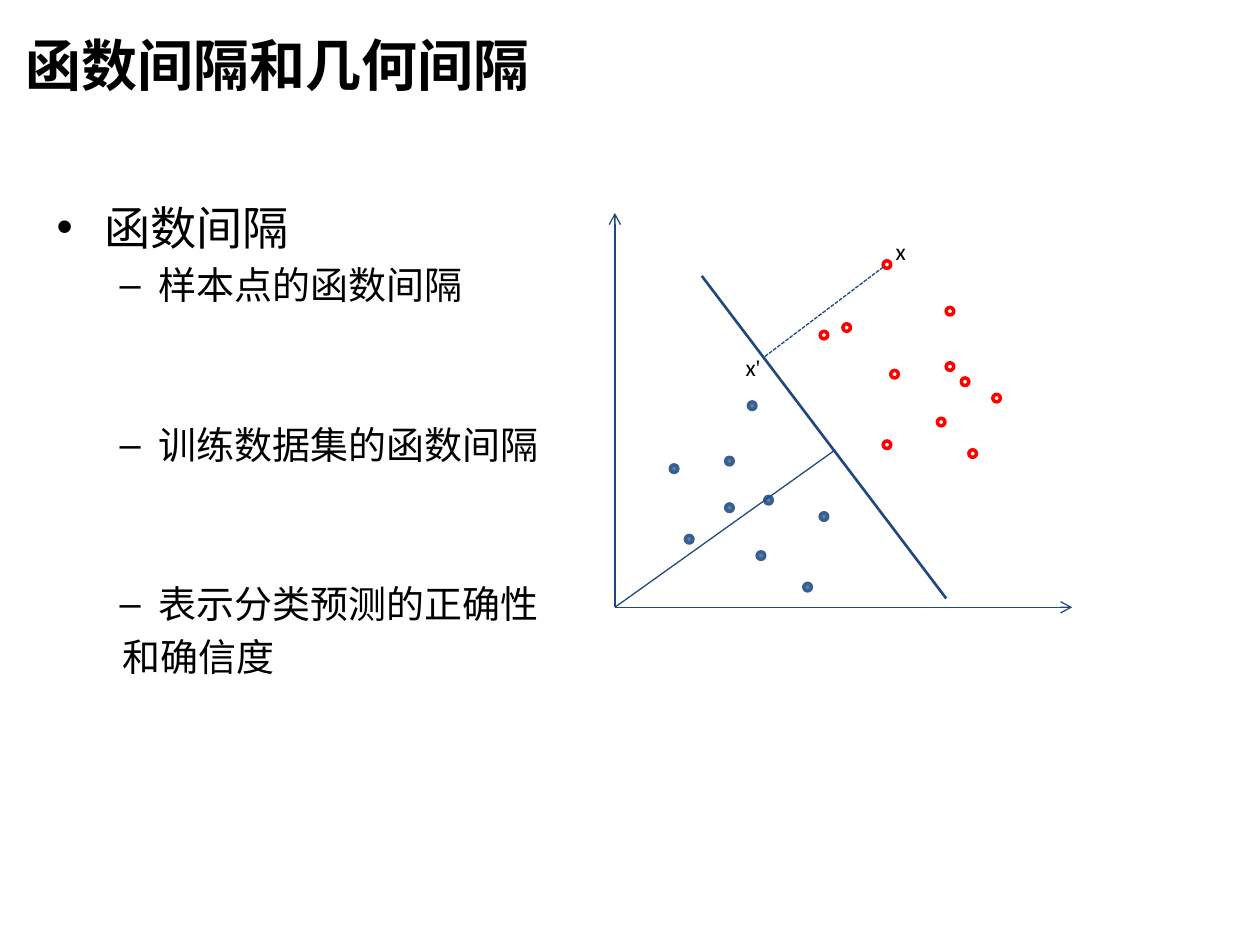
from dataclasses import dataclass

from pptx import Presentation
from pptx.dml.color import RGBColor
from pptx.enum.dml import MSO_LINE
from pptx.enum.shapes import MSO_CONNECTOR, MSO_SHAPE
from pptx.enum.text import MSO_ANCHOR, MSO_AUTO_SIZE
from pptx.oxml.ns import qn
from pptx.util import Inches, Pt
from lxml.etree import SubElement


@dataclass(frozen=True)
class Theme:
    ink: RGBColor = RGBColor(0, 0, 0)
    navy: RGBColor = RGBColor.from_string("1F497D")
    blue: RGBColor = RGBColor.from_string("4F81BD")
    edge: RGBColor = RGBColor.from_string("3A5F8C")
    red: RGBColor = RGBColor.from_string("FF0000")
    font: str = "Calibri"
    serif: str = "Times New Roman"
    title: float = 32
    head: float = 26.4
    item: float = 21.7
    label: float = 13.5
    dot: float = 0.06


class Deck:
    def __init__(self, theme):
        self.theme = theme
        self.file = Presentation()
        self.file.slide_width = Inches(10)
        self.file.slide_height = Inches(7.5)
        self.slide = self.file.slides.add_slide(self.file.slide_layouts[6])

    def box(self, left, top, width, height, wrap=True):
        shape = self.slide.shapes.add_textbox(
            Inches(left), Inches(top), Inches(width), Inches(height))
        shape.text_frame.word_wrap = wrap
        return shape.text_frame

    def style(self, para, size, bold=False):
        font = para.font
        font.size, font.bold = Pt(size), bold
        font.name = self.theme.font
        font.color.rgb = self.theme.ink

    def title(self, text):
        frame = self.box(0.03, 0, 8.62, 1.09)
        frame.vertical_anchor = MSO_ANCHOR.MIDDLE
        frame.margin_left = Inches(0.17)
        para = frame.paragraphs[0]
        para.text, para.line_spacing = text, 0.9
        self.style(para, self.theme.title, bold=True)

    def bullets(self, items):
        frame = self.box(0.35, 1.53, 8.62, 3.57)
        for i, (text, size, mark, left, hang, gap) in enumerate(items):
            para = frame.add_paragraph() if i else frame.paragraphs[0]
            para.text = text
            if i:
                para.space_before = Pt(gap)
            props = para._p.get_or_add_pPr()
            props.set("marL", str(Inches(left)))
            props.set("indent", str(-Inches(hang)))
            if mark:
                SubElement(props, qn("a:buFont")).set("typeface", "Arial")
                SubElement(props, qn("a:buChar")).set("char", mark)
            self.style(para, size)

    def label(self, left, top, width, *runs):
        frame = self.box(left, top, width, 0.33, wrap=False)
        frame.auto_size = MSO_AUTO_SIZE.SHAPE_TO_FIT_TEXT
        para = frame.paragraphs[0]
        for text, font in runs:
            run = para.add_run()
            run.text, run.font.name = text, font
        self.style(para, self.theme.label)

    def line(self, start, end, width=0.75, arrow=False, dash=None):
        link = self.slide.shapes.add_connector(
            MSO_CONNECTOR.STRAIGHT, *map(Inches, start + end))
        link.line.color.rgb = self.theme.navy
        link.line.width = Pt(width)
        if dash:
            link.line.dash_style = dash
        if arrow:
            SubElement(link.line._get_or_add_ln(), qn("a:tailEnd")).set("type", "arrow")
        SubElement(link._element.spPr, qn("a:effectLst"))

    def dots(self, spots, edge, fill=None):
        side = Inches(self.theme.dot)
        for left, top in spots:
            dot = self.slide.shapes.add_shape(
                MSO_SHAPE.OVAL, Inches(left), Inches(top), side, side)
            dot.shadow.inherit = False
            dot.line.color.rgb, dot.line.width = edge, Pt(2)
            if fill:
                dot.fill.solid()
                dot.fill.fore_color.rgb = fill
            else:
                dot.fill.background()


def main():
    theme = Theme()
    deck = Deck(theme)

    # Bullet list: text, size, mark, left margin, hanging indent, space before
    near, far = 4.3, 65
    deck.bullets([
        ("函数间隔", theme.head, "•", 0.38, 0.38, 0),
        ("样本点的函数间隔", theme.item, "–", 0.81, 0.31, near),
        ("训练数据集的函数间隔", theme.item, "–", 0.81, 0.31, far),
        ("表示分类预测的正确性", theme.item, "–", 0.81, 0.31, far),
        ("和确信度", theme.item, None, 0.52, 0, near),
    ])

    # Axes
    origin = (4.88, 4.82)
    deck.line(origin, (8.51, 4.82), arrow=True)
    deck.line(origin, (4.88, 1.69), arrow=True)

    # Two classes of samples
    deck.dots([(5.32, 3.69), (5.76, 3.63), (5.76, 4), (6.51, 4.07), (6.07, 3.94),
               (6.01, 4.38), (5.94, 3.19), (6.38, 4.63), (5.44, 4.25)],
              theme.edge, theme.blue)
    deck.dots([(6.69, 2.57), (7.51, 2.88), (7.01, 2.07), (7.07, 2.94), (7.01, 3.5),
               (6.51, 2.63), (7.44, 3.32), (7.51, 2.44), (7.69, 3.57), (7.88, 3.13),
               (7.63, 3)], theme.red)

    # Separating line, distance of x to it, and normal from the origin
    deck.line((5.57, 2.19), (7.51, 4.75), width=1.5)
    deck.line((7.01, 2.12), (6.07, 2.83), dash=MSO_LINE.SQUARE_DOT)
    deck.label(7.01, 1.83, 0.28, ("x", theme.font))
    deck.label(5.82, 2.75, 0.32, ("x", theme.font), ("'", theme.serif))
    deck.line(origin, (6.63, 3.57))

    # Title
    deck.title("函数间隔和几何间隔")

    deck.file.save("out.pptx")


if __name__ == "__main__":
    main()
